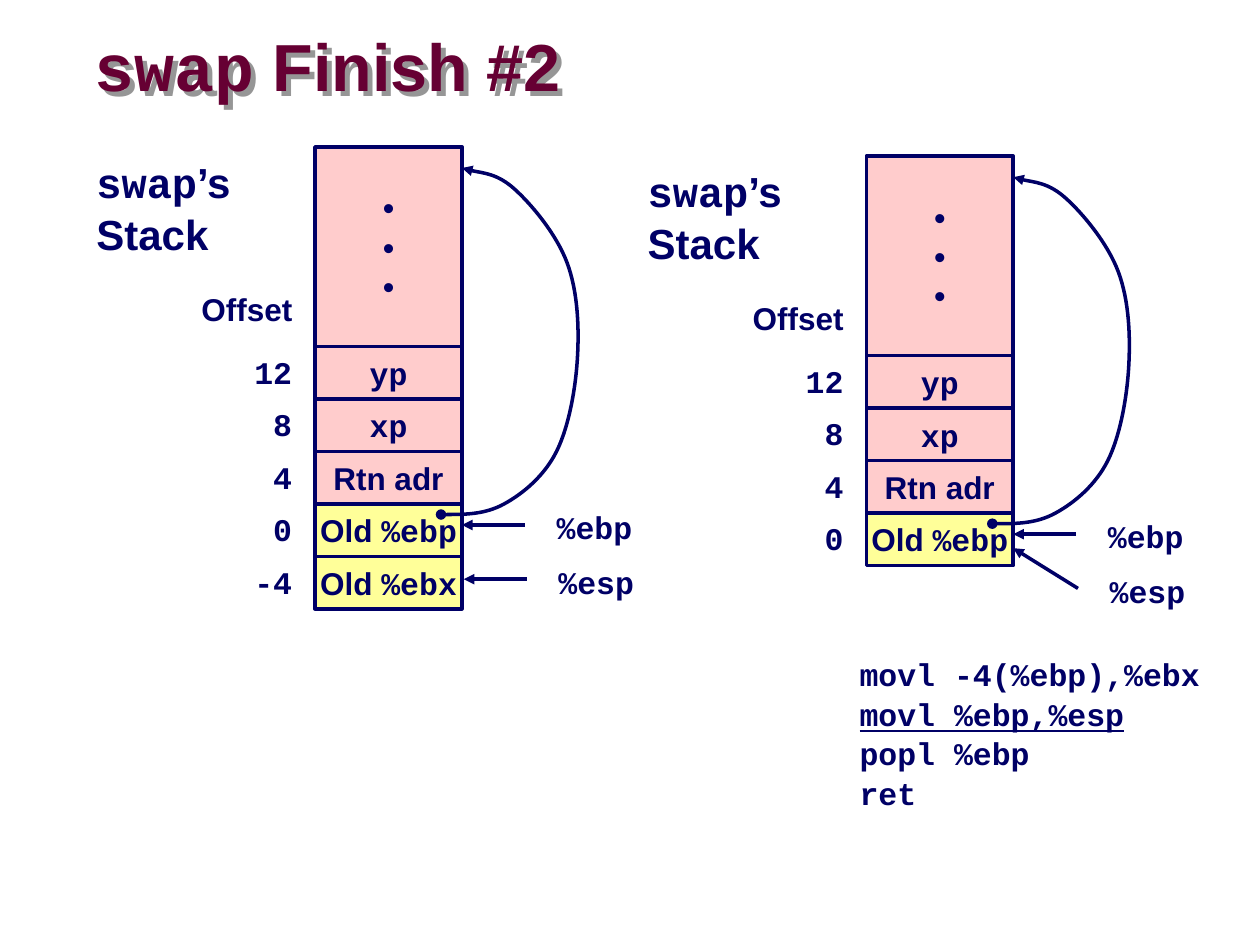
from lxml.etree import SubElement
from pptx import Presentation
from pptx.dml.color import RGBColor
from pptx.enum.shapes import MSO_CONNECTOR as Connector, MSO_SHAPE as Shape
from pptx.enum.text import MSO_ANCHOR as Anchor, PP_ALIGN as Align
from pptx.oxml.ns import qn
from pptx.util import Pt

COLORS = {"ink": "000066", "title": "660033", "pink": "FFCCCC", "yellow": "FFFF99", "shadow": "969696"}
SANS, MONO = "Arial", "Courier New"
CELL_WIDTH, CELL_HEIGHT, TOP_HEIGHT = 84, 30, 114
CURVE = [
    (72, 210), (84, 210), (97, 210), (108, 204), (119, 198), (131, 188), (138, 174),
    (145, 160), (149, 138), (150, 120), (151, 102), (150, 82), (144, 66),
    (138, 50), (124, 33), (114, 24), (104, 15), (89, 14), (84, 12),
]
CELLS = [
    ("12", [("yp", MONO)], "pink"),
    ("8", [("xp", MONO)], "pink"),
    ("4", [("Rtn adr", SANS)], "pink"),
    ("0", [("Old ", SANS), ("%ebp", MONO)], "yellow"),
    ("-4", [("Old ", SANS), ("%ebx", MONO)], "yellow"),
]


class StackPage:
    """Draws stack diagrams on one page in a single style."""

    def __init__(self, page):
        self.page = page

    def color(self, name):
        return RGBColor.from_string(COLORS[name])

    def add_text(self, frame, lines, size=18, color="ink", align=Align.LEFT):
        for index, spans in enumerate(lines):
            para = frame.add_paragraph() if index else frame.paragraphs[0]
            para.alignment = align
            if index:
                para.space_before = Pt(size * 0.05)
            for text, face, *underline in spans:
                span = para.add_run()
                span.text = text
                font = span.font
                font.name, font.size, font.bold = face, Pt(size), True
                font.color.rgb = self.color(color)
                if underline:
                    font.underline = True

    def label(self, left, top, width, height, lines, **style):
        box = self.page.shapes.add_textbox(Pt(left), Pt(top), Pt(width), Pt(height))
        box.text_frame.word_wrap = True
        self.add_text(box.text_frame, lines, **style)
        return box

    def title(self, spans):
        box = self.label(54, 18, 437, 45, [spans], size=38, color="title")
        frame = box.text_frame
        frame.margin_left = frame.margin_right = frame.margin_top = frame.margin_bottom = 0
        frame.vertical_anchor = Anchor.MIDDLE
        frame.paragraphs[0].line_spacing = 0.87
        effects = SubElement(box.element.spPr, qn("a:effectLst"))
        shadow = SubElement(effects, qn("a:outerShdw"), dist=str(Pt(4)), dir="2700000", algn="ctr")
        SubElement(shadow, qn("a:srgbClr"), val=COLORS["shadow"])

    def cell(self, left, top, height, lines, fill):
        box = self.page.shapes.add_shape(Shape.RECTANGLE, Pt(left), Pt(top), Pt(CELL_WIDTH), Pt(height))
        box.shadow.inherit = False
        box.fill.solid()
        box.fill.fore_color.rgb = self.color(fill)
        self.stroke(box)
        box.text_frame.word_wrap = False
        box.text_frame.vertical_anchor = Anchor.MIDDLE
        self.add_text(box.text_frame, lines, align=Align.CENTER)

    def stroke(self, shape, **ends):
        shape.line.color.rgb = self.color("ink")
        shape.line.width = Pt(2)
        line = shape.element.spPr.find(qn("a:ln"))
        for end, kind in ends.items():
            SubElement(line, qn(f"a:{end}"), type=kind)

    def arrow(self, start_x, start_y, end_x, end_y):
        arrow = self.page.shapes.add_connector(
            Connector.STRAIGHT, Pt(start_x), Pt(start_y), Pt(end_x), Pt(end_y))
        self.stroke(arrow, tailEnd="triangle")
        SubElement(arrow.element.spPr, qn("a:effectLst"))

    def curve(self, points):
        start, *rest = [(Pt(x), Pt(y)) for x, y in points]
        builder = self.page.shapes.build_freeform(*start)
        builder.add_line_segments(rest, close=False)
        curve = builder.convert_to_shape()
        curve.shadow.inherit = False
        curve.fill.background()
        self.stroke(curve, headEnd="oval", tailEnd="triangle")
        segments = list(curve.element.iter(qn("a:lnTo")))
        outline = segments[0].getparent()
        for index in range(0, len(segments), 3):
            bezier = SubElement(outline, qn("a:cubicBezTo"))
            for segment in segments[index:index + 3]:
                bezier.append(segment[0])
                outline.remove(segment)

    def stack(self, left, top, cells, esp_start, esp_tip):
        self.label(left - 132, top + 1.7, 94, 65,
                   [[("swap", MONO), ("’s", SANS)], [("Stack", SANS)]], size=24)
        self.label(left - 72, top + 78, 68, 29, [[("Offset", SANS)]])
        self.cell(left, top, TOP_HEIGHT, [[("•", SANS)]] * 3, "pink")
        for row, (offset, spans, fill) in enumerate(cells):
            cell_top = top + TOP_HEIGHT + row * CELL_HEIGHT
            self.label(left - 49, cell_top, 43, 29, [[(offset, MONO)]], align=Align.RIGHT)
            self.cell(left, cell_top, CELL_HEIGHT, [spans], fill)
        pointers = [("%ebp", 131, 202.5, (120, 216), (84, 216)), ("%esp", 132, 234, esp_start, esp_tip)]
        for name, x, y, start, tip in pointers:
            self.arrow(left + start[0], top + start[1], left + tip[0], top + tip[1])
            self.label(left + x, top + y, 60, 29, [[(name, MONO)]])
        self.curve([(left + x, top + y) for x, y in CURVE])


def main():
    deck = Presentation()
    deck.slide_width, deck.slide_height = Pt(720), Pt(540)
    page = StackPage(deck.slides.add_slide(deck.slide_layouts[6]))
    page.title([("swap", MONO), (" Finish #2", SANS)])
    code = page.label(448, 371, 246, 94, [
        [("movl -4(%ebp),%ebx", MONO)],
        [("movl %ebp,%esp", MONO, True)],
        [("popl %ebp", MONO)],
        [("ret", MONO)],
    ])
    code.text_frame.margin_left = Pt(43.2)
    page.stack(180, 84, CELLS, (121, 247), (85, 247))
    page.stack(495, 89.25, CELLS[:-1], (121, 247), (84, 224))
    deck.save("out.pptx")


if __name__ == "__main__":
    main()
